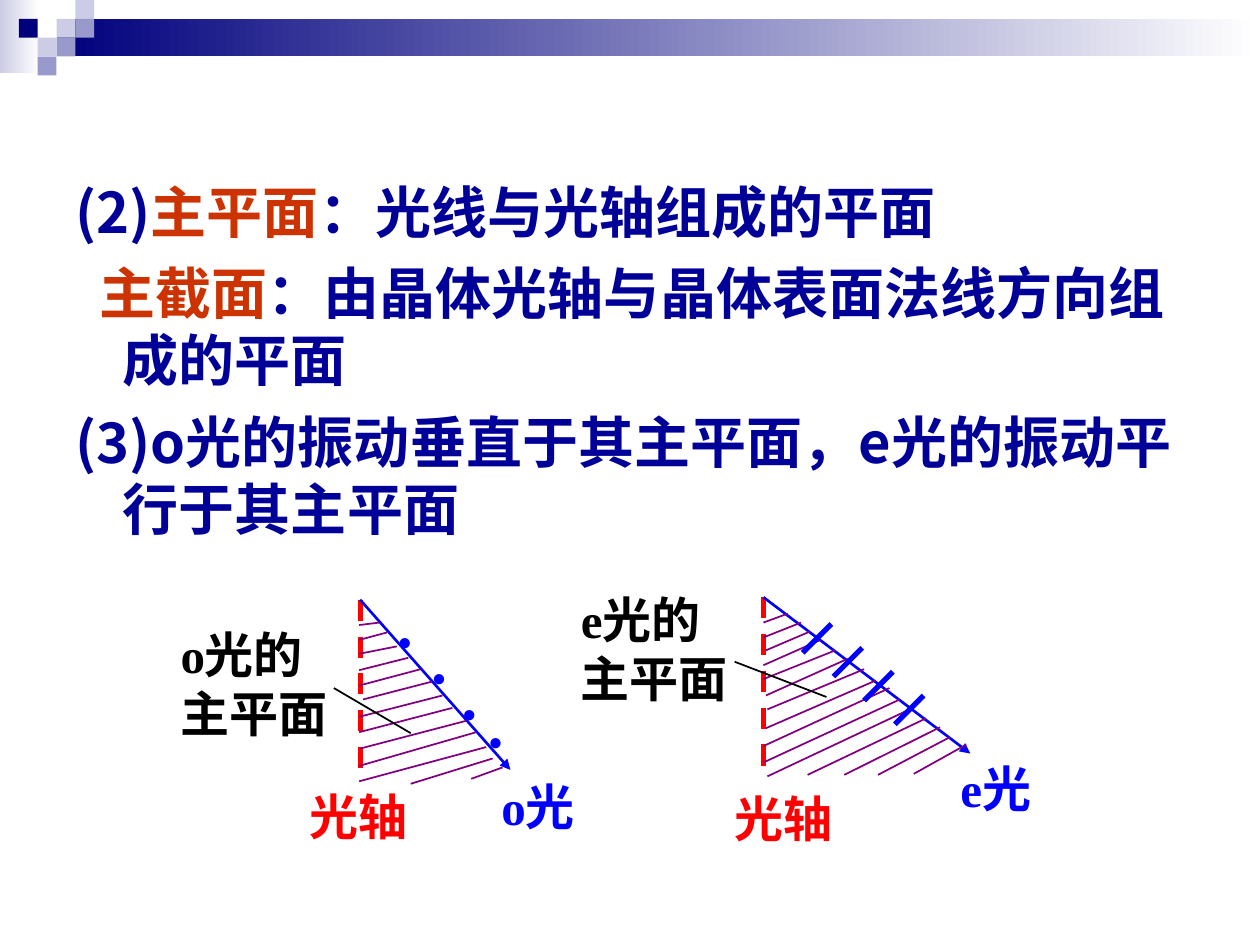
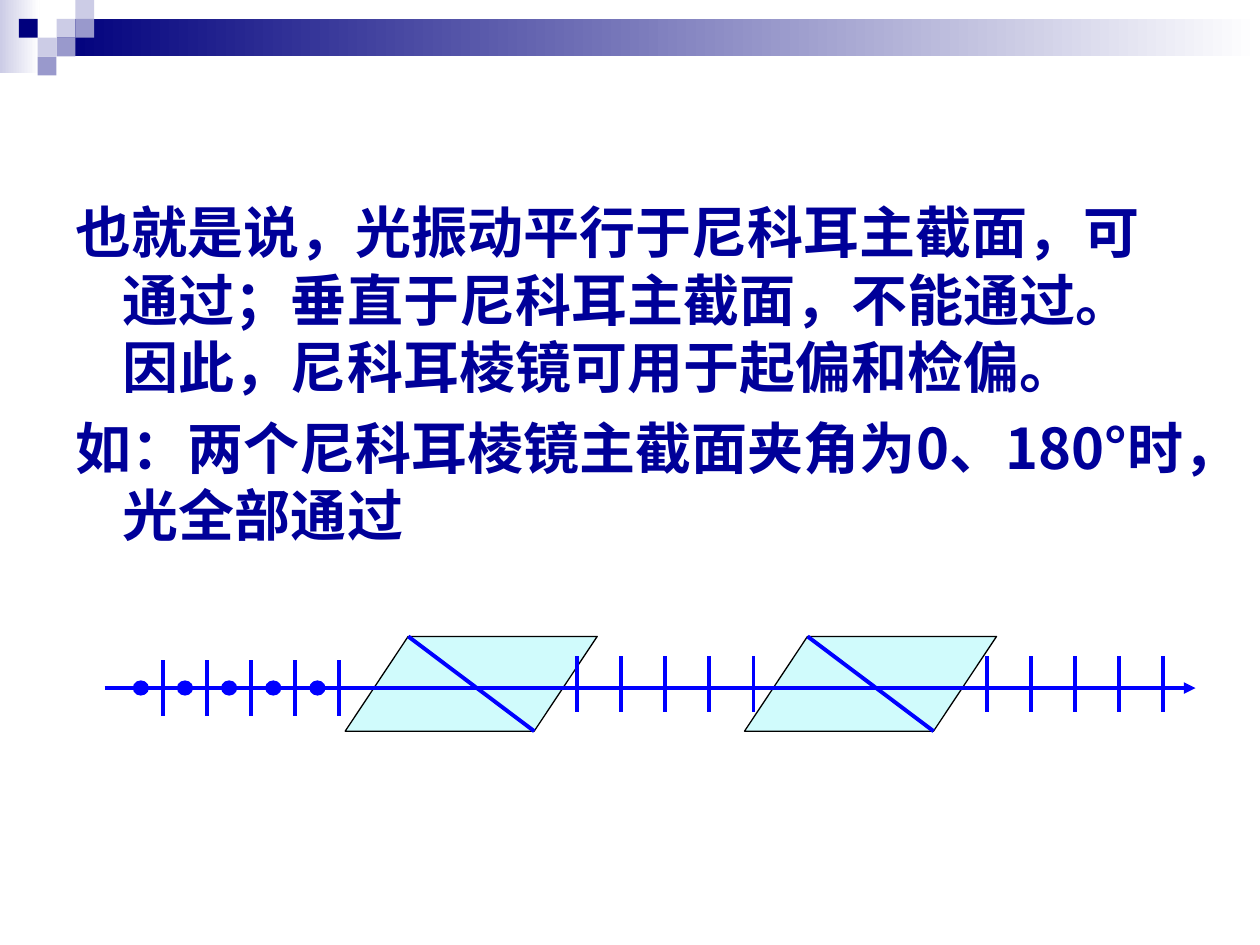
from dataclasses import dataclass

from lxml import etree
from pptx import Presentation
from pptx.dml.color import RGBColor
from pptx.enum.dml import MSO_LINE
from pptx.enum.shapes import MSO_CONNECTOR, MSO_SHAPE
from pptx.enum.text import PP_ALIGN
from pptx.oxml.ns import qn
from pptx.util import Cm, Pt

RECT = MSO_SHAPE.RECTANGLE
OVAL = MSO_SHAPE.OVAL
PARALLELOGRAM = MSO_SHAPE.PARALLELOGRAM
STRAIGHT = MSO_CONNECTOR.STRAIGHT
DASH = MSO_LINE.DASH
JUSTIFY = PP_ALIGN.JUSTIFY


@dataclass(frozen=True)
class Theme:
    white: str = "FFFFFF"
    black: str = "000000"
    navy: str = "00007D"
    lilac: str = "CCCCE6"
    violet: str = "9999CC"
    body: str = "000099"
    key: str = "CC3300"
    ray: str = "0000FF"
    axis: str = "FF0000"
    hatch: str = "800080"
    prism: str = "D0FBFC"
    body_font: str = "Noto Sans CJK SC"
    label_font: str = "Times New Roman"
    body_size: int = 32
    label_size: int = 28
    dot_size: int = 36
    leading: float = 1.2


T = Theme()

GRID = 0.38
MOSAIC = [
    (3, 1, T.lilac), (4, 0, T.lilac), (4, 1, T.violet), (2, 2, T.lilac),
    (1, 1, T.navy), (3, 2, T.violet), (2, 3, T.violet),
]

O_HATCHES = [
    (7.24, 12.6, 7.65, 12.55), (7.24, 12.9, 7.8, 12.75),
    (7.24, 13.18, 8, 13.03), (7.24, 13.51, 8.23, 13.26),
    (7.24, 13.82, 8.48, 13.49), (7.32, 14.1, 8.71, 13.74),
    (7.24, 14.45, 8.92, 14.02), (7.24, 14.76, 9.12, 14.27),
    (7.26, 15.09, 9.4, 14.53), (7.24, 15.44, 9.6, 14.76),
    (7.24, 15.75, 9.8, 15.06), (8.28, 15.8, 9.93, 15.29),
    (9.5, 15.7, 10.13, 15.47),
]
E_HATCHES = [
    (15.39, 12.55, 15.88, 12.37), (15.39, 12.85, 16.15, 12.55),
    (15.44, 13.11, 16.33, 12.73), (15.39, 13.41, 16.54, 12.9),
    (15.39, 13.69, 16.84, 13.11), (15.44, 14.02, 17.09, 13.28),
    (15.47, 14.3, 17.42, 13.49), (15.44, 14.68, 17.65, 13.72),
    (15.39, 15.04, 17.93, 13.87), (15.39, 15.37, 18.14, 14.1),
    (15.47, 15.65, 18.34, 14.3), (16.28, 15.62, 18.67, 14.48),
    (17.02, 15.62, 18.95, 14.66), (17.7, 15.62, 19.15, 14.86),
    (18.42, 15.6, 19.48, 15.01),
]
O_DOTS = [(7.92, 12.09), (8.61, 12.83), (9.22, 13.54), (9.75, 14.12)]


def rgb(color):
    return RGBColor.from_string(color)


def add_block(s, kind, x, y, w, h, fill, line=None):
    sp = s.shapes.add_shape(kind, Cm(x), Cm(y), Cm(w), Cm(h))
    sp.shadow.inherit = False
    if isinstance(fill, tuple):
        sp.fill.gradient()
        sp.fill.gradient_angle = 0
        for stop, color in zip(sp.fill.gradient_stops, fill):
            stop.color.rgb = rgb(color)
    else:
        sp.fill.solid()
        sp.fill.fore_color.rgb = rgb(fill)
    if line:
        sp.line.color.rgb = rgb(line)
        sp.line.width = Pt(0.75)
    else:
        sp.line.fill.background()
    return sp


def add_line(s, x1, y1, x2, y2, color, width, dash=False, arrow=False):
    sp = s.shapes.add_connector(STRAIGHT, Cm(x1), Cm(y1), Cm(x2), Cm(y2))
    sp.line.color.rgb = rgb(color)
    sp.line.width = Pt(width)
    if dash:
        sp.line.dash_style = DASH
    if arrow:
        etree.SubElement(sp.line._get_or_add_ln(), qn("a:tailEnd"), type="triangle")
    etree.SubElement(sp._element.spPr, qn("a:effectLst"))


def add_text_box(s, x, y, w, h, margin_x, margin_y):
    tf = s.shapes.add_textbox(Cm(x), Cm(y), Cm(w), Cm(h)).text_frame
    tf.word_wrap = True
    tf.margin_left = tf.margin_right = Cm(margin_x)
    tf.margin_top = tf.margin_bottom = Cm(margin_y)
    return tf


def add_paragraph(tf, first, runs, font, size):
    p = tf.paragraphs[0] if first else tf.add_paragraph()
    p.font.name = font
    p.font.size = Pt(size)
    p.font.bold = True
    etree.SubElement(p.font._element, qn("a:ea"), typeface=T.body_font)
    p.line_spacing = Pt(size * T.leading)
    for text, color in runs:
        r = p.add_run()
        r.text = text
        r.font.color.rgb = rgb(color)
    return p


def add_body(s, y, h, paragraphs):
    tf = add_text_box(s, 1.27, y, 22.86, h, 0.25, 0.13)
    for i, (first_indent, runs) in enumerate(paragraphs):
        p = add_paragraph(tf, i == 0, runs, T.body_font, T.body_size)
        if i:
            p.space_before = Pt(8)
        pPr = p._p.get_or_add_pPr()
        pPr.set("marL", str(Cm(0.96)))
        pPr.set("indent", str(Cm(first_indent)))


def add_label(s, x, y, w, h, lines, color, size=T.label_size):
    tf = add_text_box(s, x, y, w, h, 0.03, 0.03)
    for i, text in enumerate(lines):
        p = add_paragraph(tf, i == 0, [(text, color)], T.label_font, size)
        p.alignment = JUSTIFY


def add_plane(s, axis_x, top, bottom, ray_end, hatches, leader):
    add_line(s, axis_x, top, axis_x, bottom, T.axis, 3, dash=True)
    add_line(s, axis_x, top, *ray_end, T.ray, 1.5, arrow=True)
    for hatch in hatches:
        add_line(s, *hatch, T.hatch, 1)
    add_line(s, *leader, T.black, 1)


def add_prism(s, x, y=12.83, w=5.08, h=1.91, slant=1.27):
    sp = add_block(s, PARALLELOGRAM, x, y, w, h, T.prism, T.black)
    sp.adjustments[0] = slant / h
    add_line(s, x + slant, y, x + w - slant, y + h, T.ray, 2.25)


def add_ticks(s, x, y, step=0.89, count=5, height=1.12):
    for i in range(count):
        add_line(s, x + i * step, y, x + i * step, y + height, T.ray, 2.25)


def add_slide(prs):
    s = prs.slides.add_slide(prs.slide_layouts[6])
    add_block(s, RECT, 0, 0, 0.8, 1.47, (T.lilac, T.white))
    add_block(s, RECT, 1.14, GRID, 24.26, 2 * GRID, (T.navy, T.white))
    for col, row, color in MOSAIC:
        add_block(s, RECT, col * GRID, row * GRID, GRID, GRID, color)
    return s


def build_principal_planes(prs):
    s = add_slide(prs)
    add_body(s, 3.45, 8, [
        (-0.96, [("(2)", T.body), ("主平面", T.key),
                 ("：光线与光轴组成的平面", T.body)]),
        (-0.47, [("主截面", T.key),
                 ("：由晶体光轴与晶体表面法线方向组成的平面", T.body)]),
        (-0.96, [("(3)o光的振动垂直于其主平面，e光的振动平行于其主平面", T.body)]),
    ])

    add_plane(s, 7.26, 12.09, 15.75, (10.29, 15.52), O_HATCHES,
              (6.73, 13.87, 8.28, 14.78))
    for x, y in O_DOTS:
        add_label(s, x, y, 1.7, 1.52, ["·"], T.ray, T.dot_size)
    add_label(s, 10.08, 15.62, 3, 1.47, ["o光"], T.ray)
    add_label(s, 6.22, 15.82, 3.68, 1.27, ["光轴"], T.axis)
    add_label(s, 3.61, 12.57, 3.38, 3.05, ["o光的", "主平面"], T.black)

    add_plane(s, 15.39, 12.04, 15.72, (19.56, 15.19), E_HATCHES,
              (14.81, 13.34, 16.66, 14.05))
    for i in range(4):
        x, y = 16.18 + 0.62 * i, 13.16 + 0.48 * i
        add_line(s, x, y, x + 0.58, y - 0.58, T.ray, 3)
    add_label(s, 19.33, 15.26, 3.43, 1.42, ["e光"], T.ray)
    add_label(s, 14.78, 15.87, 2.31, 1.35, ["光轴"], T.axis)
    add_label(s, 11.68, 11.86, 3.53, 2.5, ["e光的", "主平面"], T.black)


def build_nicol_prisms(prs):
    s = add_slide(prs)
    add_body(s, 3.86, 8, [
        (-0.96, [("也就是说，光振动平行于尼科耳主截面，可通过；垂直于尼科耳主截面，"
                  "不能通过。因此，尼科耳棱镜可用于起偏和检偏。", T.body)]),
        (-0.96, [("如：两个尼科耳棱镜主截面夹角为0、180°时，光全部通过", T.body)]),
    ])
    for x in (6.96, 15.01):
        add_prism(s, x)
    add_line(s, 2.11, 13.87, 24.1, 13.87, T.ray, 2.25, arrow=True)
    for x, y in ((3.28, 13.31), (11.63, 13.23), (19.89, 13.23)):
        add_ticks(s, x, y)
    for i in range(5):
        add_block(s, OVAL, 2.69 + 0.89 * i, 13.73, 0.3, 0.28, T.ray, T.ray)


def main():
    prs = Presentation()
    prs.slide_width = Cm(25.4)
    prs.slide_height = Cm(19.05)
    build_principal_planes(prs)
    build_nicol_prisms(prs)
    prs.save("out.pptx")


if __name__ == "__main__":
    main()
